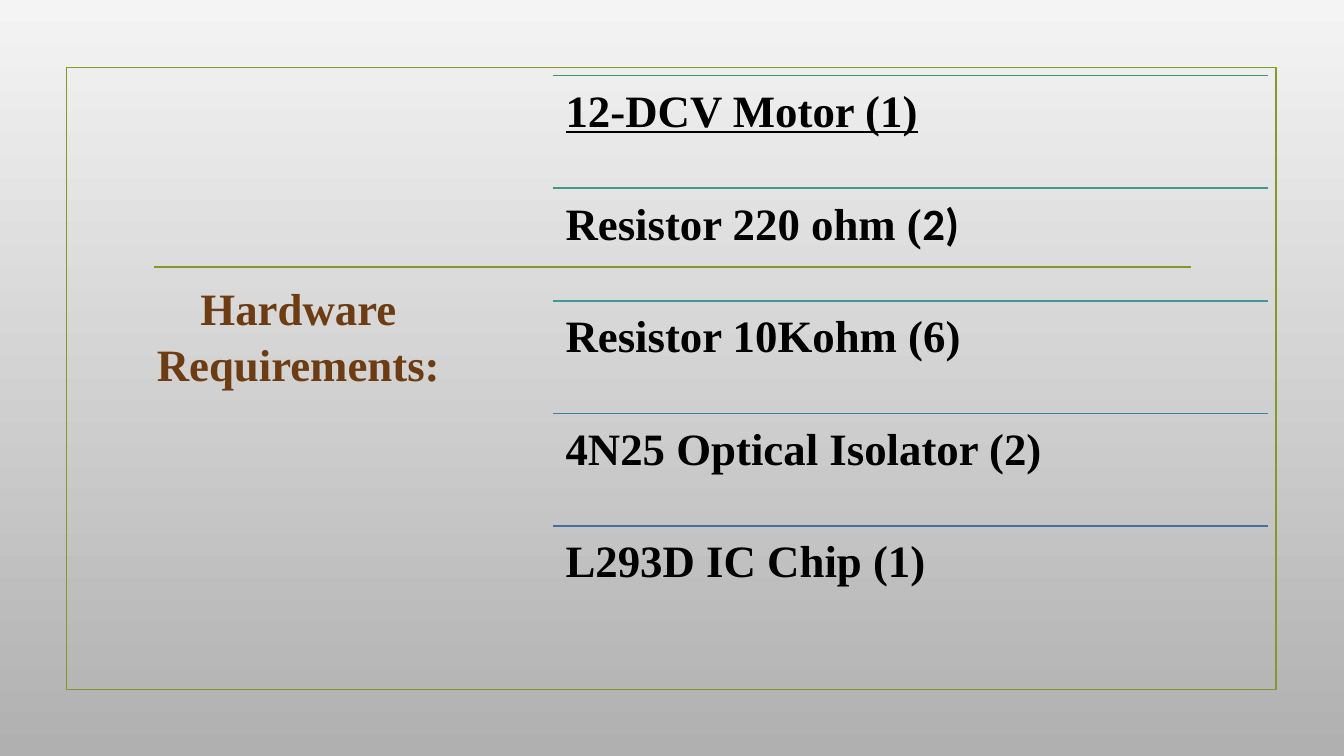
from lxml.etree import SubElement
from pptx import Presentation
from pptx.dml.color import RGBColor
from pptx.enum.shapes import MSO_CONNECTOR, MSO_SHAPE
from pptx.enum.text import MSO_ANCHOR, MSO_AUTO_SIZE, PP_ALIGN
from pptx.oxml.ns import qn
from pptx.util import Inches, Pt

TITLE = "Hardware Requirements:"
SERIF, SANS = "Times New Roman", "Calibri"
OLIVE = RGBColor(0x83, 0x99, 0x2A)
BROWN = RGBColor(0x6D, 0x3C, 0x13)
BLACK = RGBColor(0, 0, 0)
BACKGROUND = [RGBColor(0xF4, 0xF4, 0xF4), RGBColor(0xB0, 0xB0, 0xB0)]
PARTS = [
    ([("12-DCV Motor (1)", SERIF)], True, RGBColor(0x3C, 0x97, 0x70)),
    ([("Resistor 220 ohm (", SERIF), ("2)", SANS)], False, RGBColor(0x3E, 0x99, 0x87)),
    ([("Resistor 10Kohm (6)", SERIF)], False, RGBColor(0x40, 0x97, 0x9A)),
    ([("4N25 Optical Isolator (2)", SERIF)], False, RGBColor(0x42, 0x83, 0x9C)),
    ([("L293D IC Chip (1)", SERIF)], False, RGBColor(0x44, 0x70, 0x9D)),
]
LIST_LEFT, LIST_TOP, LIST_WIDTH, ROW_HEIGHT = 5.48, 0.75, 7.1, 1.1175
INSET = Inches(0.13)
LINE_WIDTH = Pt(1.25)


def add_rule(slide, left, top, width, color):
    rule = slide.shapes.add_connector(
        MSO_CONNECTOR.STRAIGHT, Inches(left), Inches(top), Inches(left + width), Inches(top))
    rule.line.color.rgb = color
    rule.line.width = LINE_WIDTH
    SubElement(rule._element.spPr, qn("a:effectLst"))


def style_run(run, font_name, color):
    run.font.name = font_name
    run.font.size = Pt(32)
    run.font.bold = True
    run.font.color.rgb = color


def add_background(slide):
    fill = slide.background.fill
    fill.gradient()
    fill.gradient_angle = 270
    for stop, color, position in zip(fill.gradient_stops, BACKGROUND, (0, 1)):
        stop.color.rgb = color
        stop.position = position


def add_frame(slide):
    frame = slide.shapes.add_shape(
        MSO_SHAPE.RECTANGLE, Inches(0.66), Inches(0.67), Inches(12), Inches(6.17))
    frame.shadow.inherit = False
    frame.fill.background()
    frame.line.color.rgb = OLIVE
    frame.line.width = LINE_WIDTH


def format_title(slide):
    title = slide.shapes.title
    title.left, title.top = Inches(1.42), Inches(0.59)
    title.width, title.height = Inches(3.08), Inches(5.45)
    text_frame = title.text_frame
    text_frame.text = TITLE
    text_frame.word_wrap = True
    text_frame.auto_size = MSO_AUTO_SIZE.NONE
    text_frame.vertical_anchor = MSO_ANCHOR.MIDDLE
    paragraph = text_frame.paragraphs[0]
    paragraph.alignment = PP_ALIGN.CENTER
    paragraph.line_spacing = 1.05
    style_run(paragraph.runs[0], SERIF, BROWN)


def add_part(slide, row, pieces, underlined, color):
    top = LIST_TOP + row * ROW_HEIGHT
    add_rule(slide, LIST_LEFT, top, LIST_WIDTH, color)
    box = slide.shapes.add_textbox(
        Inches(LIST_LEFT), Inches(top), Inches(LIST_WIDTH), Inches(ROW_HEIGHT))
    text_frame = box.text_frame
    text_frame.word_wrap = True
    text_frame.margin_left = text_frame.margin_right = INSET
    text_frame.margin_top = text_frame.margin_bottom = INSET
    paragraph = text_frame.paragraphs[0]
    paragraph.line_spacing = 0.9
    for text, font_name in pieces:
        run = paragraph.add_run()
        run.text = text
        style_run(run, font_name, BLACK)
        if underlined:
            run.font.underline = True


def main():
    presentation = Presentation()
    presentation.slide_width, presentation.slide_height = Inches(13.33), Inches(7.5)
    slide = presentation.slides.add_slide(presentation.slide_layouts[5])
    add_background(slide)
    add_frame(slide)
    add_rule(slide, 1.53, 2.65, 10.28, OLIVE)
    format_title(slide)
    for row, (pieces, underlined, color) in enumerate(PARTS):
        add_part(slide, row, pieces, underlined, color)
    presentation.save("out.pptx")


if __name__ == "__main__":
    main()
